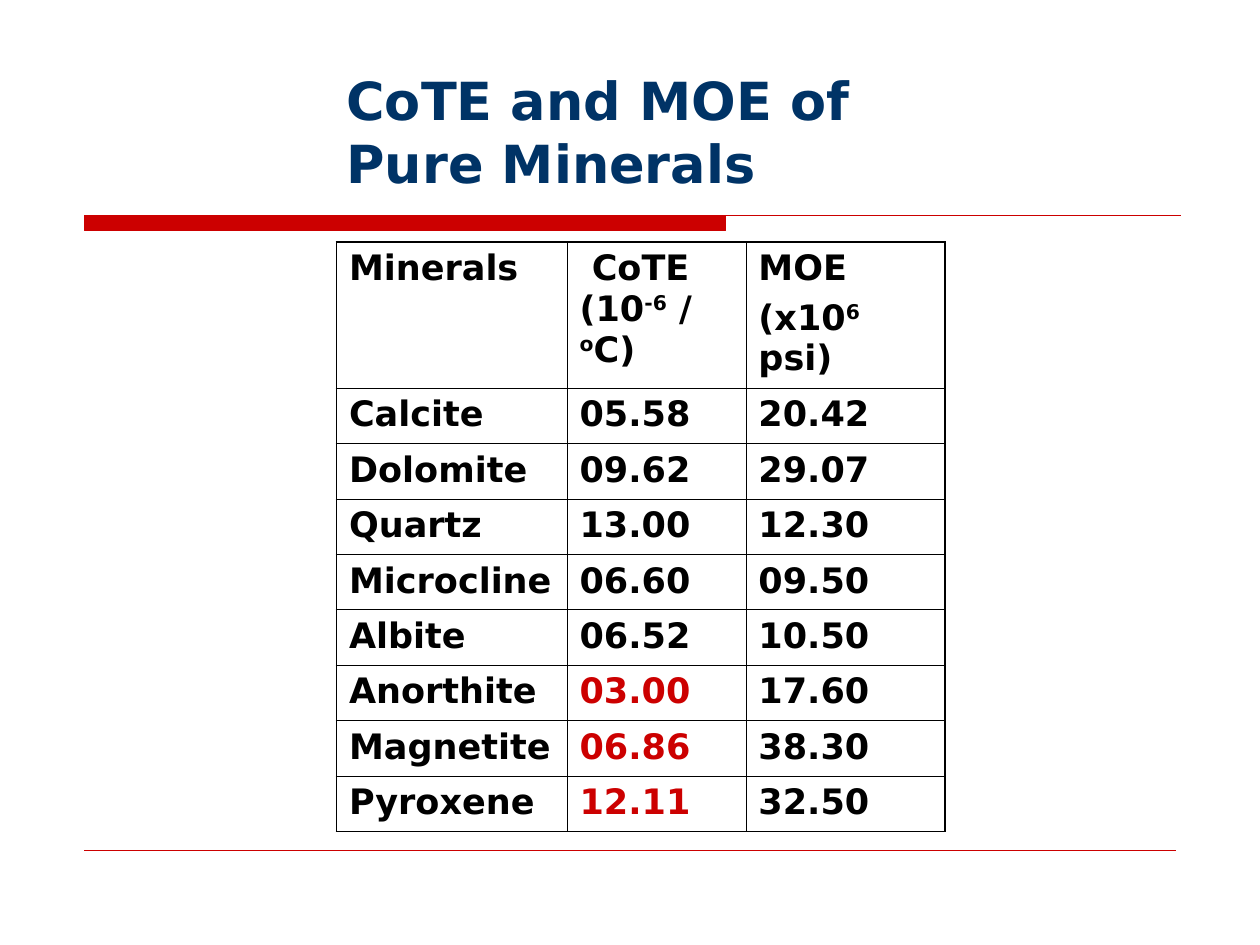
from lxml.etree import SubElement
from pptx import Presentation
from pptx.dml.color import RGBColor
from pptx.enum.shapes import MSO_CONNECTOR
from pptx.enum.text import MSO_ANCHOR, MSO_AUTO_SIZE, PP_ALIGN
from pptx.oxml import parse_xml
from pptx.oxml.ns import nsdecls, qn
from pptx.util import Inches, Pt

HUES = {"red": "CC0000", "navy": "003366", "black": "000000"}
FACE = "DejaVu Sans"
WIDTHS = [1.83, 1.42, 1.58]
HEAD = [
    [[("Minerals", 0)]],
    [[(" CoTE (10", 0), ("-6", 30), (" / ", 0), ("o", 30), ("C)", 0)]],
    [[("MOE", 0)], [("(x10", 0), ("6", 30), (" psi)", 0)]],
]
ROWS = [
    ("Calcite", "05.58", "20.42"),
    ("Dolomite", "09.62", "29.07"),
    ("Quartz", "13.00", "12.30"),
    ("Microcline", "06.60", "09.50"),
    ("Albite", "06.52", "10.50"),
    ("Anorthite", "03.00", "17.60"),
    ("Magnetite", "06.86", "38.30"),
    ("Pyroxene", "12.11", "32.50"),
]
MARKED = {"Anorthite", "Magnetite", "Pyroxene"}


def color(name):
    return RGBColor.from_string(HUES[name])


def style(font, size, hue):
    font.name = FACE
    font.size = Pt(size)
    font.bold = True
    font.color.rgb = color(hue)


def add_title(slide, text):
    title = slide.shapes.title
    title.left, title.top = Inches(2.65), Inches(0.57)
    title.width, title.height = Inches(4.78), Inches(1.02)
    frame = title.text_frame
    frame.text = text
    frame.word_wrap = True
    frame.auto_size = MSO_AUTO_SIZE.NONE
    frame.vertical_anchor = MSO_ANCHOR.BOTTOM
    para = frame.paragraphs[0]
    para.alignment = PP_ALIGN.LEFT
    style(para.runs[0].font, 30, "navy")


def add_bar(slide):
    left, mid, right = Inches(0.67), Inches(5.76), Inches(9.37)
    top, base = Inches(1.71), Inches(1.83)
    path = slide.shapes.build_freeform(left, top)
    path.add_line_segments([(mid, top), (mid, base), (left, base)], close=True)
    path.move_to(left, top)
    path.add_line_segments([(right, top)], close=False)
    bar = path.convert_to_shape()
    bar.shadow.inherit = False
    bar.fill.solid()
    bar.fill.fore_color.rgb = color("red")
    bar.line.color.rgb = color("red")
    bar.line.width = Pt(0.75)


def add_rule(slide):
    rule = slide.shapes.add_connector(
        MSO_CONNECTOR.STRAIGHT, Inches(0.67), Inches(6.75), Inches(9.33), Inches(6.75)
    )
    rule.line.color.rgb = color("red")
    rule.line.width = Pt(0.25)
    SubElement(rule._element.spPr, qn("a:effectLst"))


def fill_cell(cell, paras, hue):
    cell.fill.background()
    frame = cell.text_frame
    for i, parts in enumerate(paras):
        para = frame.add_paragraph() if i else frame.paragraphs[0]
        if i:
            para.space_before = Pt(5)
        for text, lift in parts:
            run = para.add_run()
            run.text = text
            style(run.font, 20, hue)
            if lift:
                run.font._element.set("baseline", str(lift * 1000))


def set_edges(cell, outer):
    props = cell._tc.get_or_add_tcPr()
    for i, side in enumerate("LRTB"):
        width = Pt(1.08 if side in outer else 0.45)
        props.insert(i, parse_xml(
            f'<a:ln{side} {nsdecls("a")} w="{width}"><a:solidFill>'
            f'<a:srgbClr val="{HUES["black"]}"/></a:solidFill></a:ln{side}>'
        ))


def add_grid(slide):
    rows = [HEAD] + [[[[(text, 0)]] for text in row] for row in ROWS]
    last_row, last_col = len(rows) - 1, len(WIDTHS) - 1
    table = slide.shapes.add_table(
        len(rows), len(WIDTHS), Inches(2.67), Inches(1.92), Inches(4.83), Inches(4.72)
    ).table
    table.first_row = table.horz_banding = False
    for col, width in zip(table.columns, WIDTHS):
        col.width = Inches(width)
    for r, row in enumerate(rows):
        table.rows[r].height = Inches(0.44 if r else 1.16)
        for c, paras in enumerate(row):
            marked = r > 0 and c == 1 and ROWS[r - 1][0] in MARKED
            cell = table.cell(r, c)
            fill_cell(cell, paras, "red" if marked else "black")
            ends = {"L": c == 0, "R": c == last_col, "T": r == 0, "B": r == last_row}
            set_edges(cell, [side for side, end in ends.items() if end])


def main():
    deck = Presentation()
    deck.slide_width, deck.slide_height = Inches(10), Inches(7.5)
    slide = deck.slides.add_slide(deck.slide_layouts[5])
    add_bar(slide)
    add_rule(slide)
    add_title(slide, "CoTE and MOE of Pure Minerals")
    add_grid(slide)
    deck.save("out.pptx")


if __name__ == "__main__":
    main()
